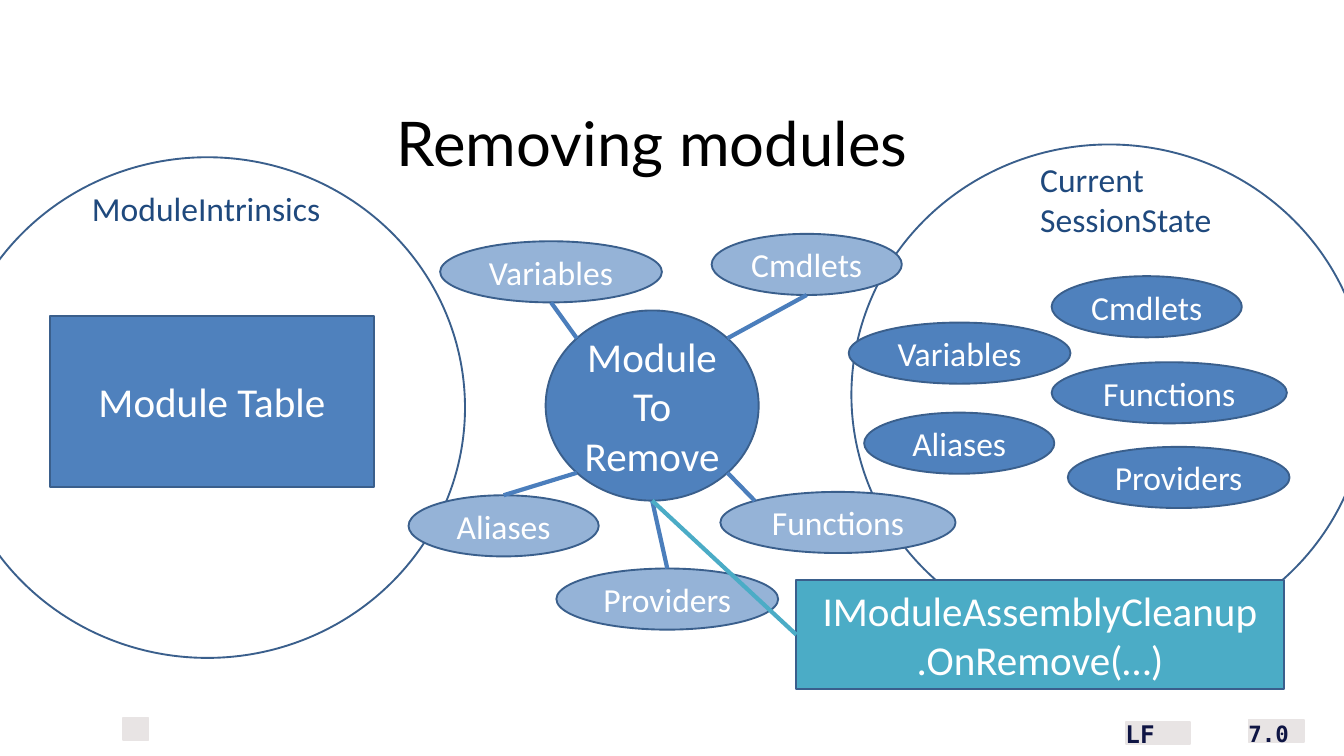
"""Build the slide that shows what happens when a module is removed."""

from dataclasses import dataclass
from math import cos, radians, sin
from typing import Optional

from lxml.etree import SubElement
from pptx import Presentation
from pptx.dml.color import RGBColor
from pptx.enum.shapes import MSO_CONNECTOR, MSO_SHAPE
from pptx.enum.text import MSO_ANCHOR, PP_ALIGN
from pptx.oxml.ns import qn
from pptx.util import Inches, Pt

COLUMNS = 20
SLIDE_WIDTH, SLIDE_HEIGHT = Inches(20), Inches(11.25)
CELL = SLIDE_WIDTH / COLUMNS


@dataclass(frozen=True)
class Theme:
    """Colours, fonts, type sizes and line widths."""
    blue: str = "4F81BD"
    pale: str = "95B3D7"
    teal: str = "4BACC6"
    outline: str = "3A5F8C"
    spoke: str = "4B7EBC"
    heading: str = "1F497D"
    navy: str = "0F1544"
    grey: str = "E8E4E4"
    white: str = "FFFFFF"
    black: str = "000000"
    body_font: str = "Calibri"
    title_font: str = "Lato"
    mono_font: str = "DejaVu Sans Mono"
    title: float = 66
    large: float = 44
    label: float = 36
    mark: float = 26
    version: float = 24
    border: float = 2
    link: float = 4.5


THEME = Theme()


@dataclass(frozen=True)
class Area:
    """A rectangle in grid columns and rows."""
    column: float
    row: float
    columns: float
    rows: float

    def lengths(self) -> list[int]:
        """Return left, top, width and height for the slide."""
        return [round(n * CELL) for n in (self.column, self.row, self.columns, self.rows)]

    def rim(self, degrees: float) -> tuple[float, float]:
        """Return the point on the inscribed ellipse, clockwise from the right."""
        angle = radians(degrees)
        return (self.column + self.columns * (1 + cos(angle)) / 2,
                self.row + self.rows * (1 + sin(angle)) / 2)


@dataclass(frozen=True)
class Style:
    """The look of a text."""
    size: float
    colour: str = THEME.white
    font: str = THEME.body_font
    bold: bool = False
    align: PP_ALIGN = PP_ALIGN.CENTER
    anchor: MSO_ANCHOR = MSO_ANCHOR.MIDDLE


@dataclass(frozen=True)
class Member:
    """A kind of module member, its oval width, places and spoke angles."""
    name: str
    columns: float
    module_place: tuple[float, float]
    session_place: tuple[float, float]
    hub_angle: float
    oval_angle: float

    def area(self, place: tuple[float, float]) -> Area:
        """Return the oval's area at a place."""
        return Area(*place, self.columns, 0.91)


LARGE = Style(THEME.large)
LABEL = Style(THEME.label)
HEADING = Style(THEME.label, THEME.heading, align=PP_ALIGN.LEFT, anchor=MSO_ANCHOR.TOP)
TITLE = Style(THEME.title, THEME.black, THEME.title_font)
MARK = Style(THEME.mark, THEME.navy, THEME.mono_font, True, PP_ALIGN.LEFT, MSO_ANCHOR.TOP)
VERSION = Style(THEME.version, THEME.navy, THEME.mono_font, True, PP_ALIGN.LEFT, MSO_ANCHOR.TOP)

HUB = Area(8.12, 4.62, 3.17, 2.83)
CLEANUP = Area(11.85, 8.63, 7.26, 1.63)
FOOTER_PATCHES = (Area(18.58, 10.71, 0.83, 0.33), Area(16.75, 10.74, 0.96, 0.33),
                  Area(1.83, 10.68, 0.38, 0.33))
SCOPES = (Area(12.67, 2.15, 7.67, 7.45), Area(-0.75, 2.34, 7.67, 7.45))
TEXTS = (
    ("7.0", Area(18.48, 10.66, 1.04, 0.38), VERSION),
    ("LF", Area(16.65, 10.66, 0.96, 0.54), MARK),
    ("Removing modules", Area(0.58, 1.17, 18.25, 1.89), TITLE),
    ("Current SessionState", Area(15.38, 2.31, 2.75, 1.31), HEADING),
    ("ModuleIntrinsics", Area(1.27, 2.74, 3.62, 0.71), HEADING),
)
MEMBERS = (
    Member("Cmdlets", 2.83, (10.59, 3.48), (15.65, 4.11), -45, 90),
    Member("Functions", 3.5, (10.72, 7.32), (15.65, 5.39), 45, 225),
    Member("Aliases", 2.83, (6.08, 7.37), (12.86, 6.14), 135, 270),
    Member("Variables", 3.3, (6.55, 3.59), (12.63, 4.8), 225, 90),
    Member("Providers", 3.3, (8.28, 8.46), (15.89, 6.65), 90, 270),
)


def write(shape, text: str, style: Style) -> None:
    """Put styled, wrapped text in a shape."""
    frame = shape.text_frame
    frame.word_wrap = True
    frame.vertical_anchor = style.anchor
    frame.text = text
    for para in frame.paragraphs:
        para.alignment = style.align
        for span in para.runs:
            span.font.name = style.font
            span.font.size = Pt(style.size)
            span.font.bold = style.bold
            span.font.color.rgb = RGBColor.from_string(style.colour)


def add_text(page, text: str, area: Area, style: Style) -> None:
    """Add a text box."""
    write(page.shapes.add_textbox(*area.lengths()), text, style)


def add_figure(page, kind: MSO_SHAPE, area: Area, fill: Optional[str],
               text: str = "", style: Style = LABEL, outline: str = THEME.outline) -> None:
    """Add an outlined shape, filled and labelled if asked."""
    shape = page.shapes.add_shape(kind, *area.lengths())
    shape.shadow.inherit = False
    if fill:
        shape.fill.solid()
        shape.fill.fore_color.rgb = RGBColor.from_string(fill)
    else:
        shape.fill.background()
    shape.line.color.rgb = RGBColor.from_string(outline)
    shape.line.width = Pt(THEME.border)
    if text:
        shape.text_frame.margin_left = shape.text_frame.margin_right = Inches(0.05)
        write(shape, text, style)


def add_link(page, start: tuple[float, float], end: tuple[float, float], colour: str) -> None:
    """Add a straight line between two grid points."""
    ends = [round(n * CELL) for n in (*start, *end)]
    link = page.shapes.add_connector(MSO_CONNECTOR.STRAIGHT, *ends)
    link.line.color.rgb = RGBColor.from_string(colour)
    link.line.width = Pt(THEME.link)
    SubElement(link._element.spPr, qn("a:effectLst"))


def main() -> None:
    """Build and save the deck."""
    deck = Presentation()
    deck.slide_width, deck.slide_height = SLIDE_WIDTH, SLIDE_HEIGHT
    page = deck.slides.add_slide(deck.slide_layouts[6])
    for patch in FOOTER_PATCHES:
        add_figure(page, MSO_SHAPE.RECTANGLE, patch, THEME.grey, outline=THEME.grey)
    for scope in SCOPES:
        add_figure(page, MSO_SHAPE.OVAL, scope, None)
    for text, area, style in TEXTS:
        add_text(page, text, area, style)
    add_figure(page, MSO_SHAPE.OVAL, HUB, THEME.blue, "Module To Remove", LARGE)
    for member in MEMBERS:
        oval = member.area(member.module_place)
        add_figure(page, MSO_SHAPE.OVAL, oval, THEME.pale, member.name)
        add_link(page, HUB.rim(member.hub_angle), oval.rim(member.oval_angle), THEME.spoke)
    for member in MEMBERS:
        add_figure(page, MSO_SHAPE.OVAL, member.area(member.session_place), THEME.blue, member.name)
    add_figure(page, MSO_SHAPE.RECTANGLE, Area(0.75, 4.7, 4.81, 2.55), THEME.blue,
               "Module Table", LARGE)
    add_figure(page, MSO_SHAPE.RECTANGLE, CLEANUP, THEME.teal,
               "IModuleAssemblyCleanup\n.OnRemove(…)", LARGE)
    add_link(page, HUB.rim(90), CLEANUP.rim(180), THEME.teal)
    deck.save("out.pptx")


if __name__ == "__main__":
    main()
